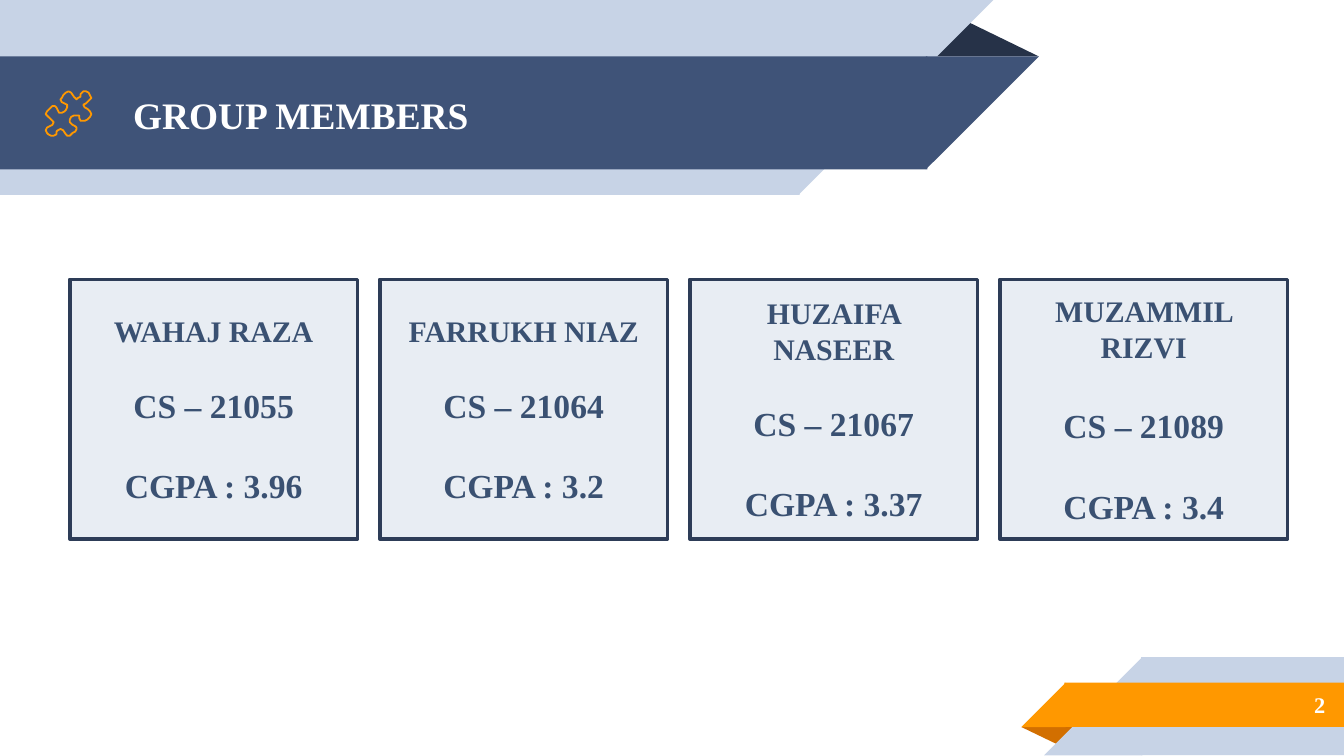
from pptx import Presentation
from pptx.dml.color import RGBColor
from pptx.enum.shapes import MSO_SHAPE
from pptx.enum.text import MSO_ANCHOR, PP_ALIGN
from pptx.util import Inches, Pt

COLORS = {"navy": "3F5378", "pale": "C7D3E6", "fold": "263248", "orange": "FF9800",
          "rust": "D26F00", "card": "E8EDF3", "border": "2D3C57", "ink": "3A5172",
          "white": "FFFFFF"}
FONT = "Times New Roman"
TITLE, PAGE = "GROUP MEMBERS", "2"

# name, roll number, grade line, gap after the name in points
MEMBERS = [("WAHAJ RAZA", "CS – 21055", "CGPA : 3.96", 19.3),
           ("FARRUKH NIAZ", "CS – 21064", "CGPA : 3.2", 19.3),
           ("HUZAIFA NASEER", "CS – 21067", "CGPA : 3.37", 19.3),
           ("MUZAMMIL RIZVI", "CS – 21089", "CGPA : 3.4", 21.7)]
ROLL_GAP = 21.7
CARD_W, CARD_H, CARD_TOP = 2.14, 1.93, 2.08
FIRST_LEFT, LAST_LEFT = 0.52, 7.44

# bands in back-to-front order: color, left, top, straight width, height
HEADER_BANDS = [("pale", 0, 0, 5.94, 1.45), ("navy", 0, 0.42, 6.89, 0.84)]
FOOTER_BANDS = [("pale", 8.5, 4.89, 1.5, 0.73), ("orange", 7.93, 5.08, 2.07, 0.33)]
OVERLAP = 0.01

# puzzle outline, in hundredths of an inch
PUZZLE = [
    (64, 77), (66, 75), (67, 74), (68, 73), (67, 71), (66, 69), (64, 68), (62, 68),
    (61, 69), (60, 70), (60, 72), (58, 73), (57, 74), (56, 73), (55, 72), (53, 69),
    (51, 68), (49, 69), (47, 71), (46, 73), (45, 74), (46, 76), (48, 77), (50, 78),
    (50, 80), (49, 82), (48, 83), (46, 84), (44, 84), (43, 82), (42, 80), (41, 79),
    (39, 79), (37, 81), (35, 83), (34, 85), (35, 86), (37, 88), (39, 90), (40, 91),
    (39, 93), (37, 94), (35, 95), (34, 97), (35, 99), (36, 100), (38, 101), (40, 101),
    (42, 100), (42, 98), (43, 97), (45, 96), (47, 97), (49, 100), (50, 101), (52, 101),
    (54, 99), (56, 98), (57, 96), (57, 95), (56, 94), (54, 93), (53, 92), (52, 91),
    (52, 89), (53, 87), (55, 86), (57, 86), (59, 86), (59, 88), (60, 90), (61, 90),
    (63, 90), (65, 89), (67, 87), (68, 85), (67, 83), (65, 81), (63, 80), (62, 78)]

prs = Presentation()
prs.slide_width = Inches(10)
prs.slide_height = prs.slide_width * 9 // 16
s = prs.slides.add_slide(prs.slide_layouts[5])


def rgb(name):
    return RGBColor.from_string(COLORS[name])


def add_shape(kind, color, *box, rotation=0, flip=False):
    sp = s.shapes.add_shape(kind, *map(Inches, box))
    sp.shadow.inherit = False
    sp.fill.solid()
    sp.fill.fore_color.rgb = rgb(color)
    sp.line.fill.background()
    sp.rotation = rotation
    if flip:
        sp.element.spPr.xfrm.set("flipH", "1")
    return sp


def add_band(color, left, top, width, height, header):
    """Rectangle with a 45-degree end: right in the header, left in the footer."""
    start = left if header else left - OVERLAP
    add_shape(MSO_SHAPE.RECTANGLE, color, start, top, width + OVERLAP, height)
    end = left + width if header else left - height
    add_shape(MSO_SHAPE.RIGHT_TRIANGLE, color, end, top, height, height,
              rotation=180 if header else 0, flip=True)


def add_fold(color, *box, rotation=0):
    sp = add_shape(MSO_SHAPE.ISOSCELES_TRIANGLE, color, *box, rotation=rotation)
    sp.adjustments[0] = 0.324


def set_frame(tf, margin_x, margin_y):
    frame = {"word_wrap": True, "vertical_anchor": MSO_ANCHOR.MIDDLE,
             "margin_left": Inches(margin_x), "margin_right": Inches(margin_x),
             "margin_top": Inches(margin_y), "margin_bottom": Inches(margin_y)}
    for key, value in frame.items():
        setattr(tf, key, value)


def write(p, text, size, color, align):
    p.alignment = align
    r = p.add_run()
    r.text = text
    for key, value in {"name": FONT, "size": Pt(size), "bold": True}.items():
        setattr(r.font, key, value)
    r.font.color.rgb = rgb(color)


# header and footer ribbons
add_fold("fold", 6.88, 0.14, 0.85, 0.28)
for band in HEADER_BANDS:
    add_band(*band, header=True)
add_fold("rust", 7.6, 5.41, 0.43, 0.14, rotation=180)
for band in FOOTER_BANDS:
    add_band(*band, header=False)

# title, brought in front of the ribbon
title = s.shapes.title
title.left, title.top, title.width, title.height = map(Inches, (0.89, 0.43, 5.75, 0.84))
title.element.getparent().append(title.element)
set_frame(title.text_frame, 0.1, 0.1)
write(title.text_frame.paragraphs[0], TITLE, 20, "white", PP_ALIGN.LEFT)

page = s.shapes.add_textbox(*map(Inches, (8.33, 5.07, 1.63, 0.35)))
set_frame(page.text_frame, 0.1, 0.1)
write(page.text_frame.paragraphs[0], PAGE, 12, "white", PP_ALIGN.RIGHT)

# puzzle icon
outline = s.shapes.build_freeform(*PUZZLE[0], scale=Inches(0.01))
outline.add_line_segments(PUZZLE[1:], close=True)
icon = outline.convert_to_shape()
icon.shadow.inherit = False
icon.fill.background()
icon.line.color.rgb = rgb("orange")
icon.line.width = Pt(0.96)

# member cards
pitch = (LAST_LEFT - FIRST_LEFT) / (len(MEMBERS) - 1)
for i, (name, roll, grade, name_gap) in enumerate(MEMBERS):
    card = add_shape(MSO_SHAPE.RECTANGLE, "card", FIRST_LEFT + i * pitch, CARD_TOP,
                     CARD_W, CARD_H)
    card.line.color.rgb = rgb("border")
    card.line.width = Pt(2)
    tf = card.text_frame
    set_frame(tf, 0.1, 0.05)
    lines = [(name, 16, 0), (roll, 18, name_gap), (grade, 18, ROLL_GAP)]
    for n, (text, size, gap) in enumerate(lines):
        p = tf.add_paragraph() if n else tf.paragraphs[0]
        if gap:
            p.space_before = Pt(gap)
        write(p, text, size, "ink", PP_ALIGN.CENTER)

prs.save("out.pptx")
